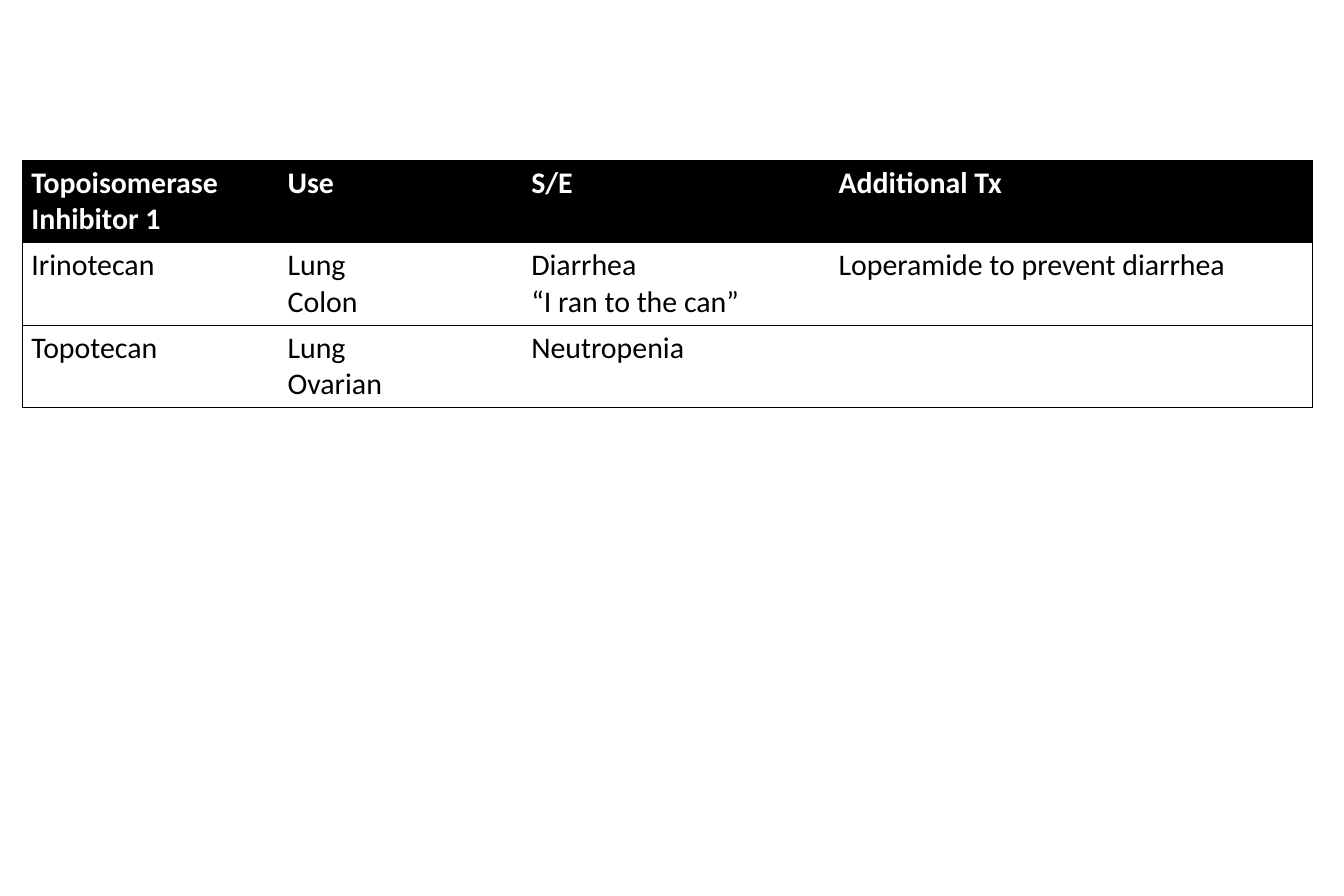
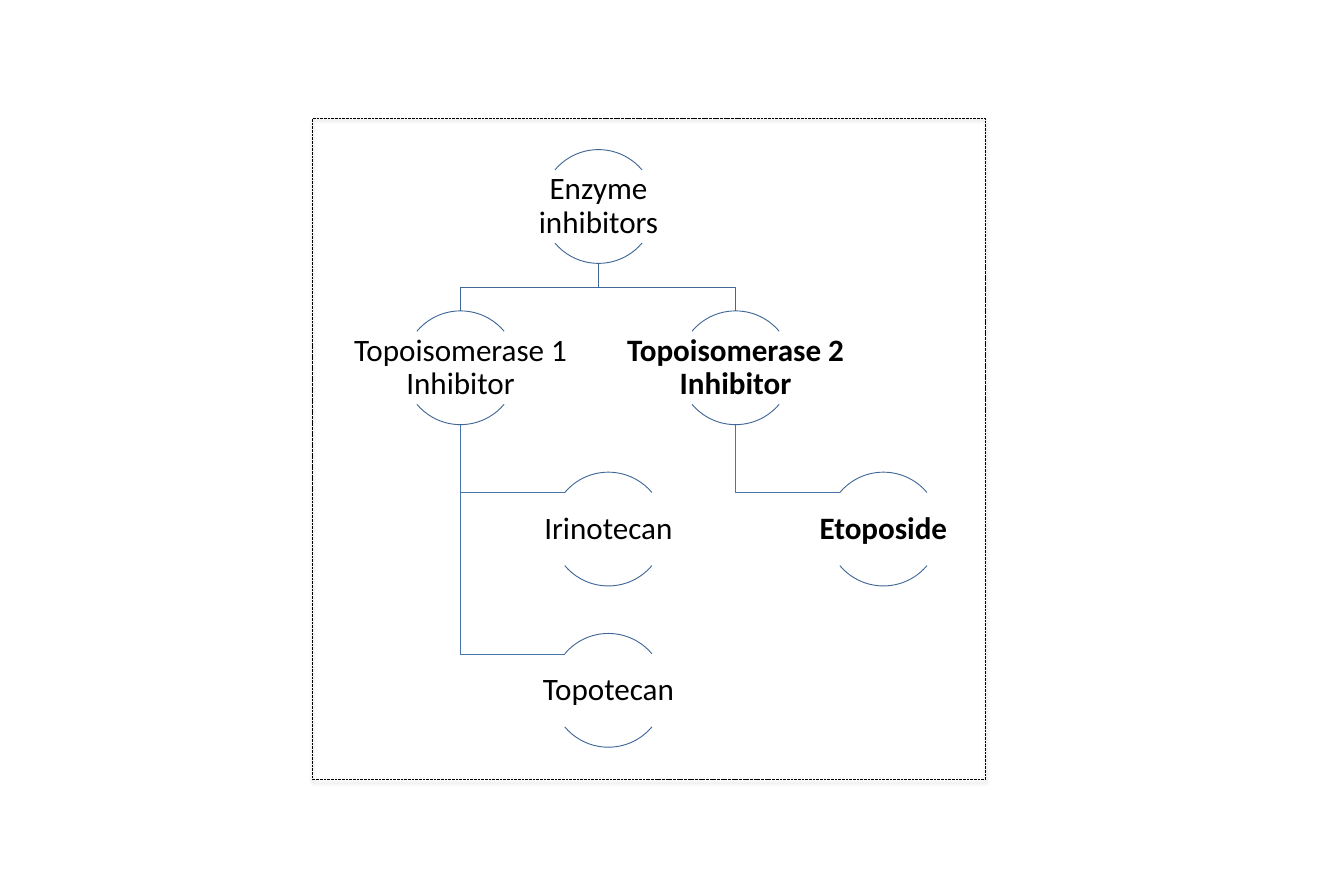
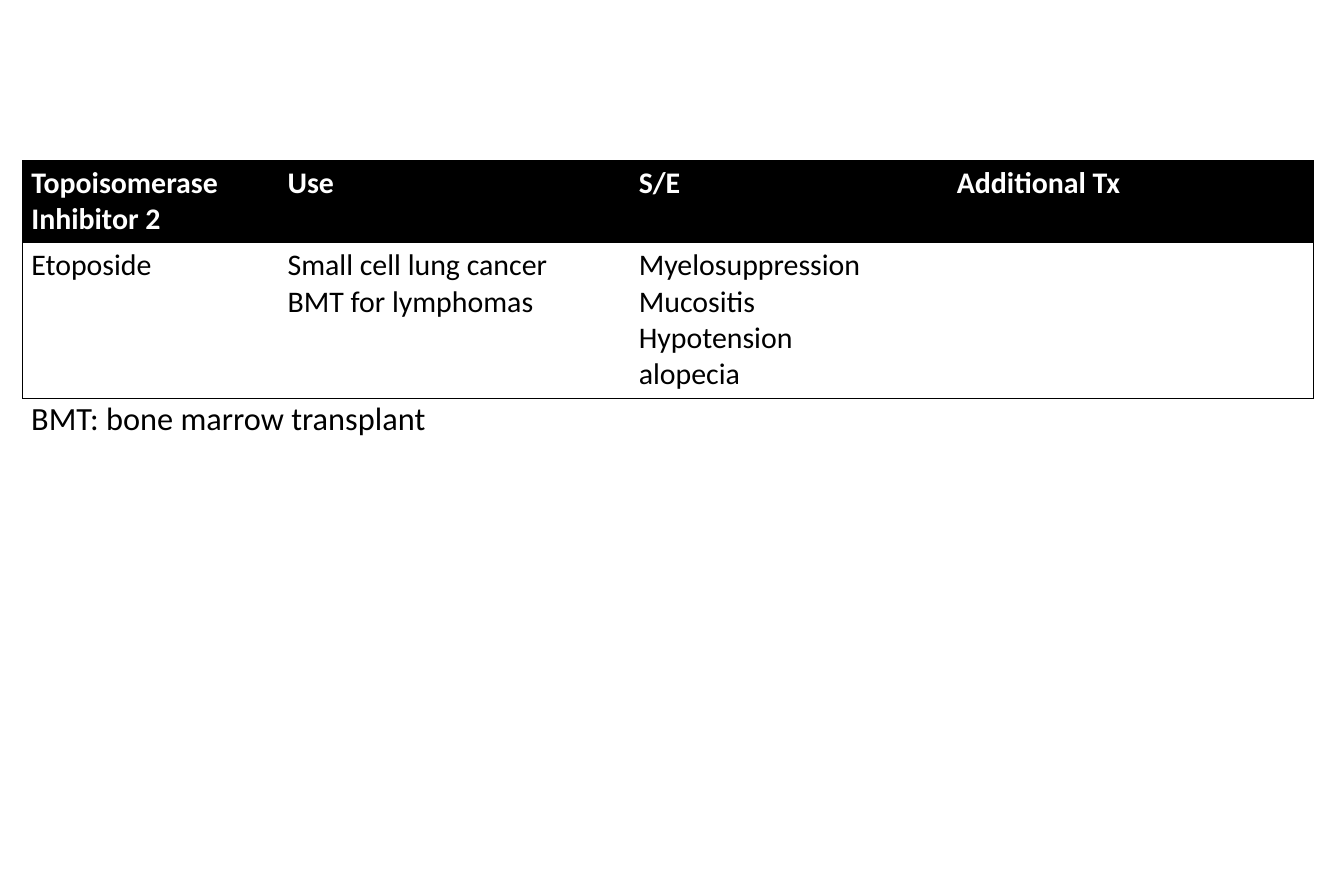
from dataclasses import dataclass

from lxml.etree import SubElement
from pptx import Presentation
from pptx.dml.color import RGBColor
from pptx.enum.dml import MSO_LINE
from pptx.enum.shapes import MSO_SHAPE
from pptx.enum.text import MSO_ANCHOR, PP_ALIGN
from pptx.oxml.ns import qn
from pptx.util import Inches, Pt


@dataclass(frozen=True)
class Theme:
    """Colours, type sizes and line width shared by the slides."""
    font: str = "Calibri"
    black: str = "000000"
    white: str = "FFFFFF"
    arc: str = "3F6797"
    branch: str = "4875AC"
    table_size: int = 24
    node_size: int = 25
    note_size: int = 26
    line_width: float = 0.75


@dataclass(frozen=True)
class Node:
    """A label in the tree, placed by its centre and its level."""
    label: str
    centre: float
    level: int
    bold: bool = False

    @property
    def top(self):
        """Return the top of the node's circle."""
        return TREE_TOP + self.level * LEVEL_PITCH

    @property
    def bottom(self):
        """Return the bottom of the node's circle."""
        return self.top + CIRCLE


THEME = Theme()
TABLE_LEFT, TABLE_TOP = 0.25, 1.79
LINE_HEIGHT, CELL_MARGIN = 0.41, 0.1
TREE_TOP, LEVEL_PITCH, CIRCLE = 1.67, 1.8, 1.27
LABEL_WIDTH, LABEL_HEIGHT = 2.53, 0.81
LABEL_DROP = (CIRCLE - LABEL_HEIGHT) / 2
CHILD_SHIFT, ARC_REACH = 1.65, 0.48
ARC_ANGLES = ((132, 192), (24, 84))


def style_text(frame, size, color=THEME.black, bold=False):
    """Give every paragraph of a text frame the same type."""
    for paragraph in frame.paragraphs:
        font = paragraph.font
        font.name, font.size, font.bold = THEME.font, Pt(size), bold
        font.color.rgb = RGBColor.from_string(color)


def outline(shape, color):
    """Leave a shape unfilled, without shadow, and draw its thin outline."""
    shape.shadow.inherit = False
    shape.fill.background()
    shape.line.color.rgb = RGBColor.from_string(color)
    shape.line.width = Pt(THEME.line_width)


def add_text(slide, text, left, top, width, height, size, bold=False):
    """Add a wrapped text box and return its text frame."""
    box = slide.shapes.add_textbox(*map(Inches, (left, top, width, height)))
    frame = box.text_frame
    frame.word_wrap = True
    frame.text = text
    style_text(frame, size, bold=bold)
    return frame


def set_borders(cell, sides):
    """Draw the named sides of a cell and clear the others."""
    properties = cell._tc.get_or_add_tcPr()
    for side in "LRTB":
        line = SubElement(properties, qn(f"a:ln{side}"), w=str(Pt(THEME.line_width)))
        if side in sides:
            fill = SubElement(line, qn("a:solidFill"))
            SubElement(fill, qn("a:srgbClr"), val=THEME.black)
        else:
            SubElement(line, qn("a:noFill"))


def add_drug_table(slide, widths, rows):
    """Add a table with a black header, row rules and an outer frame."""
    heights = [max(2, *(text.count("\n") + 1 for text in row)) * LINE_HEIGHT + CELL_MARGIN
               for row in rows]
    bounds = (TABLE_LEFT, TABLE_TOP, sum(widths), sum(heights))
    table = slide.shapes.add_table(len(rows), len(widths), *map(Inches, bounds)).table
    table.horz_banding = False
    for column, width in zip(table.columns, widths):
        column.width = Inches(width)
    for row_index, (row, height) in enumerate(zip(rows, heights)):
        table.rows[row_index].height = Inches(height)
        header = row_index == 0
        for column_index, text in enumerate(row):
            cell = table.cell(row_index, column_index)
            cell.text_frame.text = text
            style_text(cell.text_frame, THEME.table_size,
                       THEME.white if header else THEME.black, header)
            sides = "TB"
            if column_index == 0:
                sides += "L"
            if column_index == len(widths) - 1:
                sides += "R"
            set_borders(cell, sides)
            if header:
                cell.fill.solid()
                cell.fill.fore_color.rgb = RGBColor.from_string(THEME.black)
            else:
                cell.fill.background()


def add_branch(slide, points, color):
    """Draw an open line through the given points."""
    start, *others = [tuple(map(Inches, point)) for point in points]
    builder = slide.shapes.build_freeform(*start)
    builder.add_line_segments(others, close=False)
    outline(builder.convert_to_shape(), color)


def link_below(slide, parent, child):
    """Join a parent to a child on the next level by a stepped line."""
    middle = (parent.bottom + child.top) / 2
    add_branch(slide, [(parent.centre, parent.bottom), (parent.centre, middle),
                       (child.centre, middle), (child.centre, child.top)], THEME.arc)


def link_beside(slide, parent, child):
    """Join a parent to a hanging child by a right-angled line."""
    level = child.top + LABEL_DROP
    add_branch(slide, [(parent.centre, parent.bottom), (parent.centre, level),
                       (child.centre - ARC_REACH, level)], THEME.branch)


def add_node(slide, node):
    """Draw a node as a label between two arcs."""
    circle = (node.centre - CIRCLE / 2, node.top, CIRCLE, CIRCLE)
    for angles in ARC_ANGLES:
        arc = slide.shapes.add_shape(MSO_SHAPE.ARC, *map(Inches, circle))
        arc.adjustments[0], arc.adjustments[1] = angles
        outline(arc, THEME.arc)
    frame = add_text(slide, node.label, node.centre - LABEL_WIDTH / 2, node.top + LABEL_DROP,
                     LABEL_WIDTH, LABEL_HEIGHT, THEME.node_size, node.bold)
    frame.vertical_anchor = MSO_ANCHOR.MIDDLE
    frame.margin_left = frame.margin_right = Inches(0.03)
    frame.margin_top = frame.margin_bottom = Inches(0.02)
    paragraph = frame.paragraphs[0]
    paragraph.alignment = PP_ALIGN.CENTER
    paragraph.line_spacing = 0.9


def add_frame(slide, left, top, width, height):
    """Draw a dashed frame with a soft shadow."""
    frame = slide.shapes.add_shape(MSO_SHAPE.RECTANGLE, *map(Inches, (left, top, width, height)))
    outline(frame, THEME.black)
    frame.line.dash_style = MSO_LINE.SQUARE_DOT
    effects = frame.element.spPr.find(qn("a:effectLst"))
    shadow = SubElement(effects, qn("a:outerShdw"), blurRad=str(Pt(3.1)), dist=str(Pt(1.8)),
                        dir="5400000", rotWithShape="0")
    color = SubElement(shadow, qn("a:srgbClr"), val=THEME.black)
    SubElement(color, qn("a:alpha"), val="35000")


def add_inhibitor_tree(slide):
    """Draw the tree of enzyme inhibitors."""
    root = Node("Enzyme inhibitors", 6.68, 0)
    first = Node("Topoisomerase 1 Inhibitor", 5.14, 1)
    second = Node("Topoisomerase 2 Inhibitor", 8.21, 1, True)
    irinotecan = Node("Irinotecan", first.centre + CHILD_SHIFT, 2)
    topotecan = Node("Topotecan", first.centre + CHILD_SHIFT, 3)
    etoposide = Node("Etoposide", second.centre + CHILD_SHIFT, 2, True)
    for parent, child in ((second, etoposide), (first, topotecan), (first, irinotecan)):
        link_beside(slide, parent, child)
    for child in (second, first):
        link_below(slide, root, child)
    for node in (root, first, irinotecan, topotecan, second, etoposide):
        add_node(slide, node)
    add_frame(slide, 3.49, 1.32, 7.51, 7.38)


def main():
    """Build the three slides and save the deck."""
    deck = Presentation()
    deck.slide_width, deck.slide_height = Inches(15), Inches(10)
    first_page, tree_page, second_page = [
        deck.slides.add_slide(deck.slide_layouts[6]) for _ in range(3)]
    headings = ("Use", "S/E", "Additional Tx")
    add_drug_table(first_page, (2.86, 2.72, 3.43, 5.39), (
        ("Topoisomerase Inhibitor 1", *headings),
        ("Irinotecan", "Lung\nColon", "Diarrhea\n“I ran to the can”",
         "Loperamide to prevent diarrhea"),
        ("Topotecan", "Lung\nOvarian", "Neutropenia", ""),
    ))
    add_inhibitor_tree(tree_page)
    add_drug_table(second_page, (2.86, 3.92, 3.55, 4.08), (
        ("Topoisomerase Inhibitor 2", *headings),
        ("Etoposide", "Small cell lung cancer\nBMT for lymphomas",
         "Myelosuppression\nMucositis\nHypotension\nalopecia", ""),
    ))
    add_text(second_page, "BMT: bone marrow transplant", TABLE_LEFT, 4.39, 4.69, 0.54,
             THEME.note_size)
    deck.save("out.pptx")


if __name__ == "__main__":
    main()
